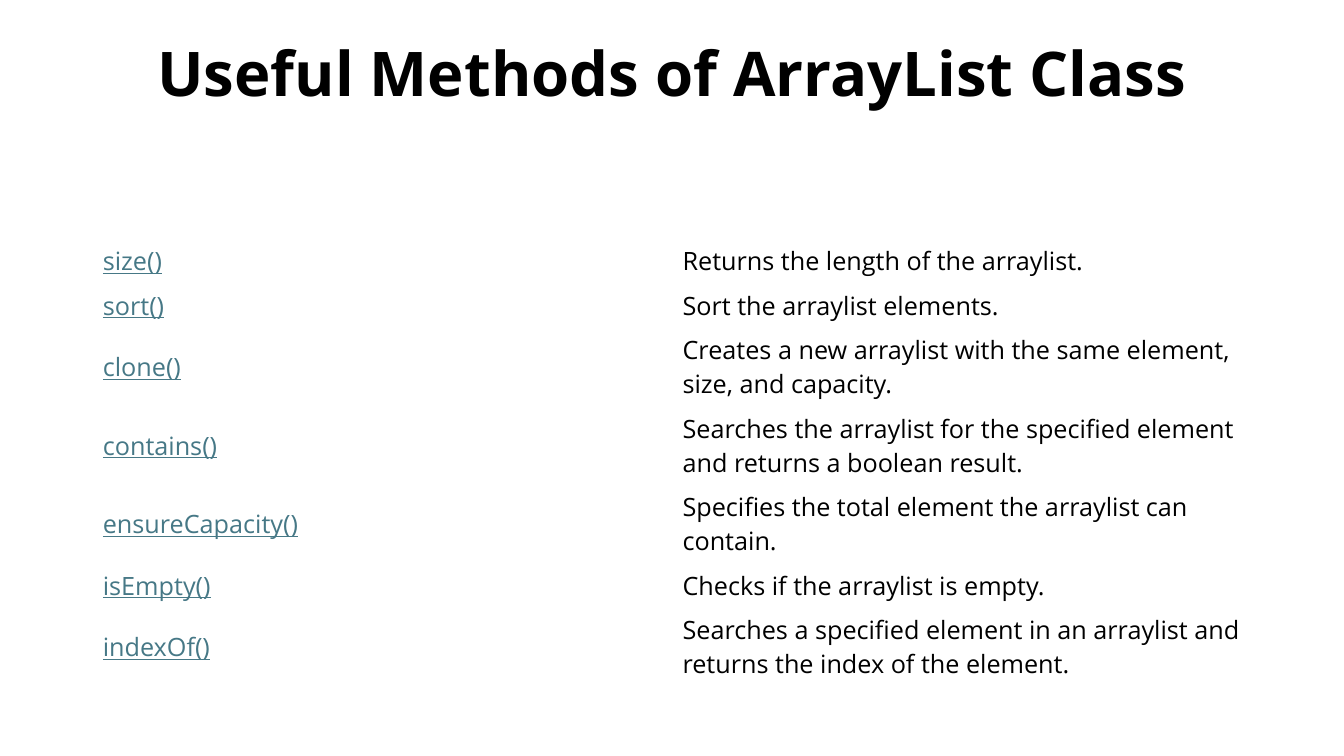
from pptx import Presentation
from pptx import util as u
from pptx.dml.color import RGBColor
from pptx.enum import text

BLACK = RGBColor(0x00, 0x00, 0x00)
TEAL = RGBColor(0x46, 0x78, 0x86)
FONT = "Open Sans"
WIDTH, HEIGHT = u.Inches(13.33), u.Inches(7.5)
MARGIN = u.Inches(0.92)
CONTENT_WIDTH = u.Inches(11.5)
ONE_LINE, TWO_LINES = u.Inches(0.44), u.Inches(0.78)

# Method, description, row height
METHODS = [
    ("size()", "Returns the length of the arraylist.", ONE_LINE),
    ("sort()", "Sort the arraylist elements.", ONE_LINE),
    ("clone()", "Creates a new arraylist with the same element, size, and capacity.", TWO_LINES),
    ("contains()", "Searches the arraylist for the specified element and returns a boolean result.", TWO_LINES),
    ("ensureCapacity()", "Specifies the total element the arraylist can contain.", TWO_LINES),
    ("isEmpty()", "Checks if the arraylist is empty.", ONE_LINE),
    ("indexOf()", "Searches a specified element in an arraylist and returns the index of the element.", TWO_LINES),
]


def add_run(paragraph, words, size, color, bold=False, underline=False):
    run = paragraph.add_run()
    run.text = words
    font = run.font
    font.name, font.size = FONT, u.Pt(size)
    font.bold, font.underline = bold, underline
    font.color.rgb = color


def add_title(slide, left, top, width, height):
    frame = slide.shapes.add_textbox(left, top, width, height).text_frame
    frame.word_wrap = True
    frame.vertical_anchor = text.MSO_ANCHOR.MIDDLE
    # The title sits in the upper half of its box
    frame.margin_top, frame.margin_bottom = 0, height // 2
    paragraph = frame.paragraphs[0]
    paragraph.alignment = text.PP_ALIGN.CENTER
    paragraph.line_spacing = 0.9
    add_run(paragraph, "Useful Methods of ArrayList Class", 44, BLACK, bold=True)


def add_method_table(slide, left, top, width):
    height = sum(row_height for _, _, row_height in METHODS)
    table = slide.shapes.add_table(len(METHODS), 2, left, top, width, height).table
    table.first_row = table.horz_banding = False
    for column in table.columns:
        column.width = width // 2
    for row, (method, description, row_height) in zip(table.rows, METHODS):
        row.height = row_height
        for cell, words, is_method in zip(row.cells, (method, description), (True, False)):
            cell.fill.background()
            cell.vertical_anchor = text.MSO_ANCHOR.MIDDLE
            add_run(cell.text_frame.paragraphs[0], words, 18,
                    TEAL if is_method else BLACK, underline=is_method)


def main():
    presentation = Presentation()
    presentation.slide_width, presentation.slide_height = WIDTH, HEIGHT
    slide = presentation.slides.add_slide(presentation.slide_layouts[6])
    add_title(slide, MARGIN, u.Inches(0.4), CONTENT_WIDTH, u.Inches(1.45))
    add_method_table(slide, MARGIN, u.Inches(2.37), CONTENT_WIDTH)
    presentation.save("out.pptx")


if __name__ == "__main__":
    main()
